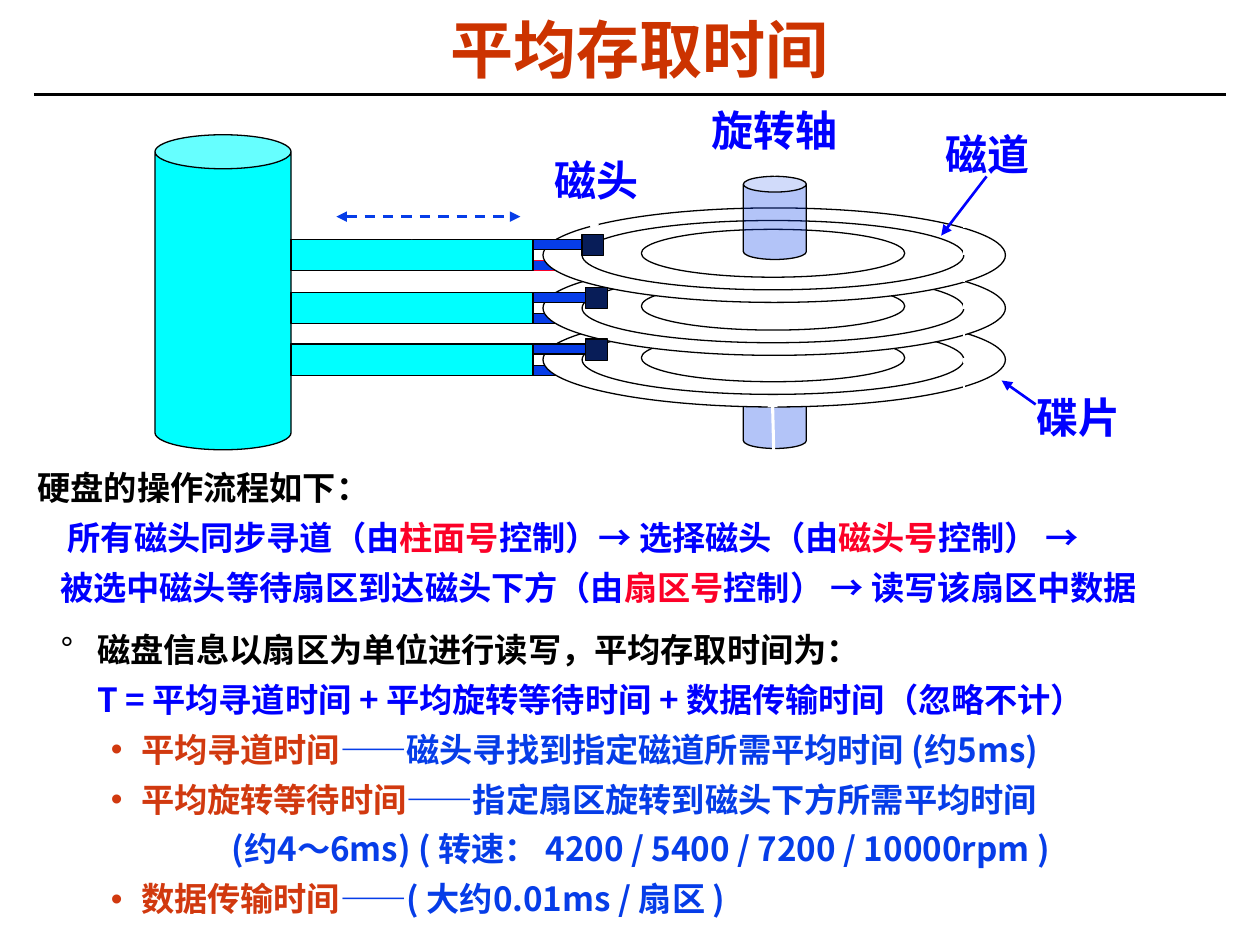
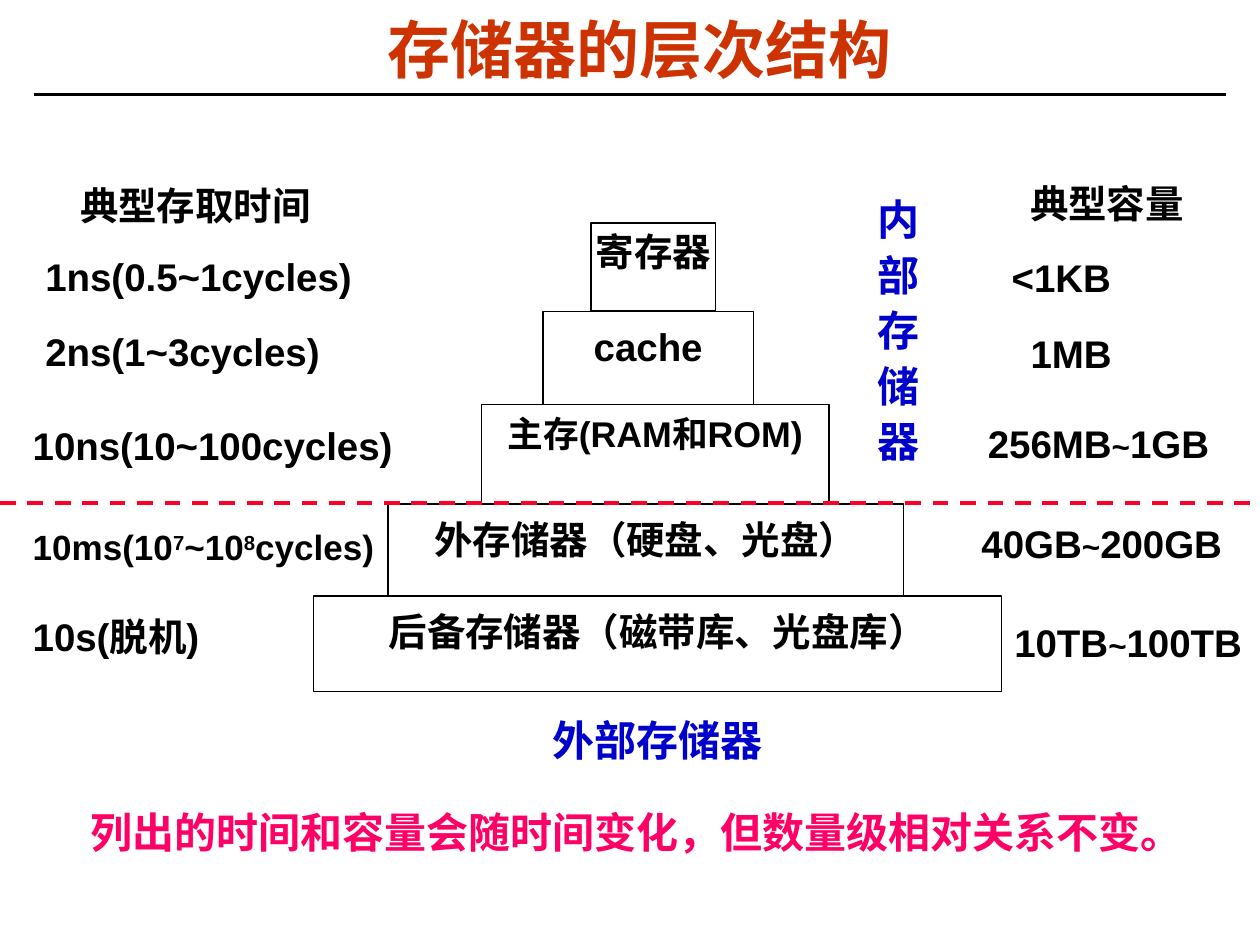
"""Build two slides on disk access time and the memory hierarchy."""
from lxml import etree
from pptx import Presentation
from pptx import util as u
from pptx.dml import color as dml
from pptx.enum import dml as lines, shapes, text
from pptx.oxml import ns

PX = 9144
COLORS = {
    "title": "CC3300", "black": "000000", "white": "FFFFFF", "cyan": "00FFFF",
    "blue": "0000FF", "royal": "063DE8", "navy": "081D58", "red": "FC0128",
    "rust": "D1390F", "indigo": "0000CC", "pink": "FF0066",
}
CJK = "Noto Sans CJK SC"
CENTER, LEFT = text.PP_ALIGN.CENTER, text.PP_ALIGN.LEFT
RECT, OVAL, CAN = (shapes.MSO_SHAPE.RECTANGLE, shapes.MSO_SHAPE.OVAL,
                   shapes.MSO_SHAPE.CAN)


def add_box(page, kind, frame, paragraphs=(), fill="white", color="black", size=22,
            font="Arial", align=CENTER, spacing=1.1, before=0, inset=(13, 0)):
    """Add a preset shape, or a text box when kind is None, with its paragraphs."""
    place = [n * PX for n in frame]
    if kind is None:
        box = page.shapes.add_textbox(*place)
    else:
        box = page.shapes.add_shape(kind, *place)
        box.shadow.inherit = False
        box.fill.solid()
        box.fill.fore_color.rgb = dml.RGBColor.from_string(COLORS[fill])
        box.line.color.rgb = dml.RGBColor.from_string(COLORS["black"])
        box.line.width = u.Pt(0.75)
    body = box.text_frame
    body.word_wrap = True
    body.vertical_anchor = text.MSO_ANCHOR.TOP
    body.margin_left = body.margin_right = inset[0] * PX
    body.margin_top = body.margin_bottom = inset[1] * PX
    for index, spans in enumerate(paragraphs):
        para = body.add_paragraph() if index else body.paragraphs[0]
        para.alignment = align
        para.line_spacing = spacing
        para.space_before = u.Pt(before if index else 0)
        for words, tint in [(spans, color)] if isinstance(spans, str) else spans:
            span = para.add_run()
            span.text = words
            span.font.size = u.Pt(size)
            span.font.bold = True
            span.font.name = font
            span.font.color.rgb = dml.RGBColor.from_string(COLORS[tint])
            etree.SubElement(span.font._element, ns.qn("a:ea"), typeface=CJK)
    return box


def add_line(page, start, end, color, width, dashed=False, ends=()):
    """Add a straight line; ends names the arrowheads to draw."""
    line = page.shapes.add_connector(
        shapes.MSO_CONNECTOR.STRAIGHT, *[n * PX for n in (*start, *end)])
    line.line.color.rgb = dml.RGBColor.from_string(COLORS[color])
    line.line.width = u.Pt(width)
    if dashed:
        line.line.dash_style = lines.MSO_LINE.DASH
    for name in ends:
        etree.SubElement(line.line._get_or_add_ln(), ns.qn(f"a:{name}"), type="triangle")
    etree.SubElement(line._element.spPr, ns.qn("a:effectLst"))


deck = Presentation()
deck.slide_width, deck.slide_height = 1000 * PX, 750 * PX

pages = []
for heading in ("平均存取时间", "存储器的层次结构"):
    page = deck.slides.add_slide(deck.slide_layouts[5])
    title = page.shapes.title
    title.left, title.top, title.width, title.height = [
        n * PX for n in (26, 12, 963, 62)]
    title.text_frame.text = heading
    title.text_frame.auto_size = text.MSO_AUTO_SIZE.NONE
    title.text_frame.vertical_anchor = text.MSO_ANCHOR.MIDDLE
    para = title.text_frame.paragraphs[0]
    para.alignment = CENTER
    para.line_spacing = 0.87
    span = para.runs[0]
    span.font.size = u.Pt(36)
    span.font.bold = True
    span.font.name = "Arial"
    span.font.color.rgb = dml.RGBColor.from_string(COLORS["title"])
    etree.SubElement(span.font._element, ns.qn("a:ea"), typeface=CJK)
    add_line(page, (27, 75), (973, 75), "black", 1.5)
    pages.append(page)
disk_page, memory_page = pages

disk_tops = (248, 207, 165)
spindles = [add_box(disk_page, CAN, (590, 290, 50, 66), fill="royal")]
for top in disk_tops:
    stub = add_box(disk_page, RECT, (423, top + 42, 42, 8), fill="royal")
stub.line.color.rgb = dml.RGBColor.from_string(COLORS["red"])
add_box(disk_page, CAN, (123, 107, 108, 250), fill="cyan")
for top in disk_tops:
    for left, drop, width, height in ((431, 0, 367, 75), (462, 10, 303, 55),
                                      (509, 17, 209, 38)):
        add_box(disk_page, OVAL, (left, top + drop, width, height))
for top, head_left in zip(disk_tops, (465, 465, 462)):
    add_box(disk_page, RECT, (231, top + 25, 192, 25), fill="cyan")
    add_box(disk_page, RECT, (423, top + 25, 42, 8), fill="royal")
    add_box(disk_page, RECT, (head_left, top + 21, 17, 17), fill="navy")
spindles.append(add_box(disk_page, CAN, (590, 140, 50, 66), fill="royal"))
for spindle in spindles:
    tint = spindle._element.spPr.find(ns.qn("a:solidFill"))[0]
    etree.SubElement(tint, ns.qn("a:alpha"), val="30000")

add_line(disk_page, (765, 98), (765, 398), "white", 0.75, dashed=True)
for start, end in (((473, 168), (470, 185)), ((323, 132), (327, 190)),
                   ((615, 128), (615, 140)), ((615, 394), (613, 315))):
    add_line(disk_page, start, end, "white", 1.75, ends=["tailEnd"])
for start, end in (((822, 321), (795, 302)), ((783, 140), (747, 187))):
    add_line(disk_page, start, end, "blue", 1.5, ends=["tailEnd"])
add_line(disk_page, (267, 172), (413, 172), "royal", 1.5, dashed=True,
         ends=["headEnd", "tailEnd"])
for label, frame in (("磁头", (390, 118, 167, 50)), ("磁道", (712, 97, 144, 50)),
                     ("旋转轴", (531, 78, 167, 50)), ("碟片", (787, 306, 138, 50))):
    add_box(disk_page, None, frame, [label], color="blue", size=24, spacing=1,
            inset=(10, 5))

steps = add_box(disk_page, None, (20, 363, 943, 124), [
    "硬盘的操作流程如下：",
    [("所有磁头同步寻道（由", "blue"), ("柱面号", "red"),
     ("控制）→ 选择磁头（由", "blue"), ("磁头号", "red"), ("控制） →", "blue")],
    [("被选中磁头等待扇区到达磁头下方（由", "blue"), ("扇区号", "red"),
     ("控制） → 读写该扇区中数据", "blue")],
], size=19, font=CJK, align=LEFT, before=3.5, inset=(10, 5))
for para, margin in zip(steps.text_frame.paragraphs, (0, 24, 18)):
    para._p.get_or_add_pPr().set("marL", str(margin * PX))

times = add_box(disk_page, None, (41, 493, 929, 239), [
    "磁盘信息以扇区为单位进行读写，平均存取时间为：",
    [("T = 平均寻道时间 + 平均旋转等待时间 + 数据传输时间（忽略不计）", "blue")],
    [("平均寻道时间", "rust"), ("——磁头寻找到指定磁道所需平均时间 (约5ms)", "royal")],
    [("平均旋转等待时间", "rust"), ("——指定扇区旋转到磁头下方所需平均时间", "royal")],
    [("(约4～6ms) ( 转速： 4200 / 5400 / 7200 / 10000rpm )", "royal")],
    [("数据传输时间", "rust"), ("——( 大约0.01ms / 扇区 )", "royal")],
], size=19, font=CJK, align=LEFT, before=3.5, inset=(7, 3))
item = (64, -24, "•", "rust")
layout = ((29, -29, "°", "black"), (29, 0, None, None), item, item,
          (136, 0, None, None), item)
for para, (margin, indent, mark, tint) in zip(times.text_frame.paragraphs, layout):
    props = para._p.get_or_add_pPr()
    props.set("marL", str(margin * PX))
    props.set("indent", str(indent * PX))
    if mark:
        bullet_color = etree.SubElement(props, ns.qn("a:buClr"))
        etree.SubElement(bullet_color, ns.qn("a:srgbClr"), val=COLORS[tint])
        etree.SubElement(props, ns.qn("a:buFont"), typeface="Arial")
        etree.SubElement(props, ns.qn("a:buChar"), char=mark)

for name, frame, size, spacing, inset in (
        ("cache", (431, 247, 167, 76), 22, 1.1, (13, 6)),
        ("主存(RAM和ROM)", (382, 321, 276, 79), 20.4, 1, (13, 6)),
        ("外存储器（硬盘、光盘）", (308, 400, 409, 76), 22, 1.1, (13, 6)),
        ("后备存储器（磁带库、光盘库）", (249, 473, 546, 76), 22, 1.1, (13, 6)),
        ("寄存器", (469, 177, 99, 70), 22, 1.1, (0, 0))):
    add_box(memory_page, RECT, frame, [name], size=size, spacing=spacing, inset=inset)
add_line(memory_page, (0, 399), (994, 399), "red", 2.25, dashed=True)
for name, frame in (("内部存储器", (677, 144, 72, 236)),
                    ("外部存储器", (406, 557, 231, 107))):
    add_box(memory_page, None, frame, [name], color="indigo", size=24,
            font="Times New Roman", inset=(13, 6))

for name, frame in (("典型存取时间", (31, 141, 248, 71)),
                    ("典型容量", (790, 139, 177, 71))):
    add_box(memory_page, None, frame, [name])
for name, left, top, width in (("1ns(0.5~1cycles)", 23, 197, 285),
                               ("2ns(1~3cycles)", 23, 257, 340),
                               ("10ns(10~100cycles)", 13, 331, 320),
                               ("10s(脱机)", 13, 483, 207),
                               ("<1KB", 790, 198, 167),
                               ("1MB", 805, 258, 167)):
    add_box(memory_page, None, (left, top, width, 71), [name], align=LEFT)
for low, high, left, top, width, inset in (("256MB", "1GB", 771, 330, 205, (13, 0)),
                                           ("40GB", "200GB", 766, 409, 234, (13, 0)),
                                           ("10TB", "100TB", 805, 488, 192, (0, 0))):
    box = add_box(memory_page, None, (left, top, width, 71),
                  [[(part, "black") for part in (low, "~", high)]], align=LEFT,
                  inset=inset)
    box.text_frame.paragraphs[0].runs[1].font.size = u.Pt(18)
disk_time = add_box(memory_page, None, (13, 414, 335, 71),
                    [[(part, "black") for part in
                      ("10ms(10", "7", "~10", "8", "cycles)")]], size=20, align=LEFT)
for span in disk_time.text_frame.paragraphs[0].runs[1::2]:
    span.font._element.set("baseline", "30000")
add_box(memory_page, None, (72, 640, 896, 40),
        ["列出的时间和容量会随时间变化，但数量级相对关系不变。"],
        color="pink", size=24, align=LEFT, spacing=1, inset=(0, 0))

deck.save("out.pptx")
